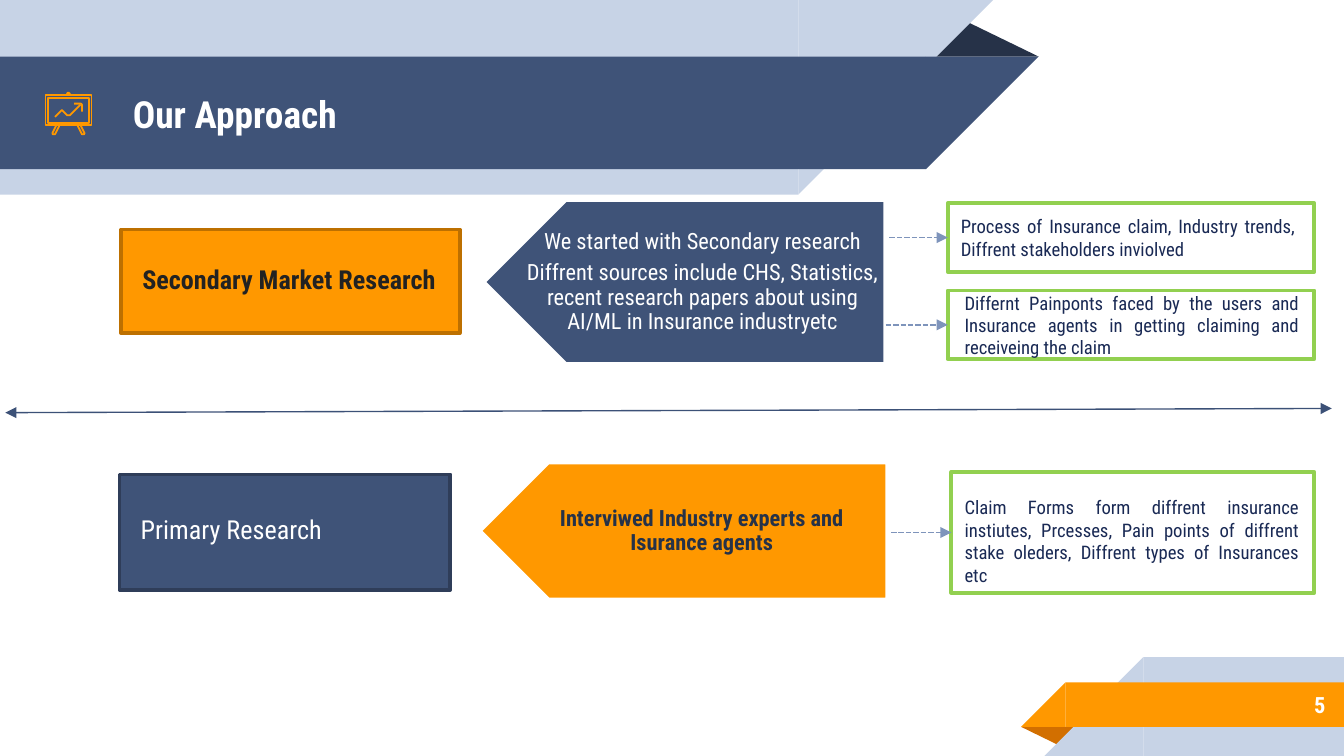
from pptx import Presentation
from pptx.dml.color import RGBColor
from pptx.enum.dml import MSO_LINE
from pptx.enum.shapes import MSO_CONNECTOR, MSO_SHAPE
from pptx.enum.text import MSO_ANCHOR, MSO_AUTO_SIZE, PP_ALIGN
from pptx.oxml.ns import qn
from pptx.util import Cm, Pt
from lxml.etree import SubElement

FONT = "Roboto Condensed"
WHITE = RGBColor(0xFF, 0xFF, 0xFF)
PALE = RGBColor(0xC7, 0xD3, 0xE6)
BLUE = RGBColor(0x3F, 0x53, 0x78)
BLUE_EDGE = RGBColor(0x2F, 0x3D, 0x59)
NAVY = RGBColor(0x26, 0x32, 0x48)
ORANGE = RGBColor(0xFF, 0x98, 0x00)
ORANGE_EDGE = RGBColor(0xBD, 0x70, 0x00)
ORANGE_FOLD = RGBColor(0xD2, 0x6F, 0x00)
GREEN = RGBColor(0x92, 0xD0, 0x50)
INK = RGBColor(0x19, 0x29, 0x54)
BLACK = RGBColor(0x22, 0x22, 0x22)
DASH = RGBColor(0x7E, 0x94, 0xBB)
AXIS = RGBColor(0x3C, 0x51, 0x77)

# Icon strokes in hundredths of a centimetre: points, closed
ICON = [
    ([(0, 5), (87, 5), (87, 62), (0, 62)], True),
    ([(5, 10), (83, 10), (83, 58), (5, 58)], True),
    ([(41, 5), (41, 2), (43, 0), (46, 2), (46, 5)], False),
    ([(20, 63), (13, 77), (14, 79), (18, 79), (26, 63)], False),
    ([(61, 63), (69, 79), (73, 79), (74, 77), (67, 63)], False),
    ([(66, 23), (46, 43), (41, 43), (31, 33), (18, 46)], False),
    ([(54, 21), (67, 21), (69, 23), (69, 36)], False),
]


def cm(*values):
    return [Cm(v) for v in values]


def paint(sp, fill=None, edge=None, width=2):
    sp.shadow.inherit = False
    if fill is None:
        sp.fill.background()
    else:
        sp.fill.solid()
        sp.fill.fore_color.rgb = fill
    if edge is None:
        sp.line.fill.background()
    else:
        sp.line.color.rgb = edge
        sp.line.width = Pt(width)


def add_shape(slide, kind, box, fill=None, edge=None, flip=None):
    sp = slide.shapes.add_shape(kind, *cm(*box))
    paint(sp, fill, edge)
    if flip:
        sp._element.spPr.find(qn("a:xfrm")).set(flip, "1")
    return sp


def write(sp, text, size, color, bold=False, align=PP_ALIGN.LEFT,
          anchor=MSO_ANCHOR.TOP, insets=(0.25, 0.13, 0.25, 0.13)):
    tf = sp.text_frame
    tf.word_wrap = True
    tf.auto_size = MSO_AUTO_SIZE.NONE
    tf.vertical_anchor = anchor
    (tf.margin_left, tf.margin_top,
     tf.margin_right, tf.margin_bottom) = cm(*insets)
    tf.text = text
    for p in tf.paragraphs:
        p.alignment = align
        for r in p.runs:
            r.font.name = FONT
            r.font.size = Pt(size)
            r.font.bold = bold
            r.font.color.rgb = color
    return tf


def add_line(slide, ends, color, width, heads):
    line = slide.shapes.add_connector(MSO_CONNECTOR.STRAIGHT, *cm(*ends))
    line.line.color.rgb = color
    line.line.width = Pt(width)
    for head in heads:
        SubElement(line.line._get_or_add_ln(), qn(head)).set("type", "triangle")
    SubElement(line._element.spPr, qn("a:effectLst"))
    return line


def slanted_band(slide, box, color, on_right):
    """A bar whose outer end is cut at 45 degrees."""
    x, y, w, h = box
    bar_x, tip_x = (x, x + w - h) if on_right else (x + h, x)
    add_shape(slide, MSO_SHAPE.RECTANGLE, (bar_x, y, w - h, h), color)
    add_shape(slide, MSO_SHAPE.RIGHT_TRIANGLE, (tip_x, y, h, h), color,
              flip="flipV" if on_right else "flipH")


def fold(slide, box, color, rotation=0):
    sp = add_shape(slide, MSO_SHAPE.ISOSCELES_TRIANGLE, box, color)
    sp.adjustments[0] = 0.324
    sp.rotation = rotation


def board_icon(slide, x, y):
    for points, closed in ICON:
        fb = slide.shapes.build_freeform(*points[0], scale=Cm(0.01))
        fb.add_line_segments(points[1:], close=closed)
        paint(fb.convert_to_shape(Cm(x), Cm(y)), edge=ORANGE, width=0.96)


def header(slide, box, text):
    x, y, w, h = box
    fold(slide, (x + w - 2.16, y + 0.36, 2.16, 0.71), NAVY)
    slanted_band(slide, (x, y, w - 0.86, h), PALE, True)
    slanted_band(slide, (x, y + 1.07, w, 2.13), BLUE, True)
    board_icon(slide, x + 0.86, y + 1.75)
    title = slide.shapes.title
    title.left, title.top, title.width, title.height = cm(
        x + 2.26, y + 1.09, 14.61, 2.13)
    write(title, text, 20, WHITE, True, anchor=MSO_ANCHOR.MIDDLE,
          insets=(0.25,) * 4)
    slide.shapes._spTree.append(title._element)  # above the band


def footer(slide, box, number):
    x, y, w, h = box
    fold(slide, (x, y + 1.32, 1.09, 0.36), ORANGE_FOLD, 180)
    slanted_band(slide, (x + 0.44, y, w - 0.44, h), PALE, False)
    slanted_band(slide, (x, y + 0.48, w, 0.84), ORANGE, False)
    tb = slide.shapes.add_textbox(*cm(x + 1.86, y + 0.46, 4.14, 0.89))
    write(tb, number, 12, WHITE, True, PP_ALIGN.RIGHT, MSO_ANCHOR.MIDDLE,
          (0.25,) * 4)


def label(slide, box, text_box, text, fill, edge, color, bold):
    add_shape(slide, MSO_SHAPE.RECTANGLE, box, fill, edge)
    sp = add_shape(slide, MSO_SHAPE.RECTANGLE, text_box, fill)
    write(sp, text, 14, color, bold)


def left_arrow(slide, box, text_h, text, fill, color, bold):
    x, y, w, h = box
    add_shape(slide, MSO_SHAPE.PENTAGON, box, fill, WHITE).rotation = 180
    tb = slide.shapes.add_textbox(
        *cm(x + 0.4, y + (h - text_h) / 2, w - 0.32, text_h))
    tf = write(tb, text, 12, color, bold, PP_ALIGN.CENTER, MSO_ANCHOR.MIDDLE,
               (0.36, 0.08, 0.15, 0.08))
    for p in tf.paragraphs:
        p.line_spacing = 0.9
        p.space_after = Pt(4)


def finding(slide, box, text_box, text, arrow_x):
    x, y, w, h = box
    sp = add_shape(slide, MSO_SHAPE.RECTANGLE, box, edge=GREEN)
    tb = slide.shapes.add_textbox(*cm(*text_box))
    write(tb, text, 10, INK, align=PP_ALIGN.JUSTIFY)
    mid = y + h / 2
    arrow = add_line(slide, (arrow_x, mid, x, mid), DASH, 1, [])
    arrow.line.dash_style = MSO_LINE.SQUARE_DOT
    SubElement(arrow.line._get_or_add_ln(), qn("a:tailEnd")).set("type", "triangle")
    arrow.end_connect(sp, 1)


def main():
    prs = Presentation()
    prs.slide_width, prs.slide_height = cm(25.4, 14.29)
    slide = prs.slides.add_slide(prs.slide_layouts[5])
    header(slide, (0, 0, 19.63, 3.68), "Our Approach")
    footer(slide, (19.3, 12.42, 6.1, 1.87), "5")

    # Secondary research
    label(slide, (2.29, 4.34, 6.4, 1.96), (2.44, 4.85, 6.07, 1.12),
          "Secondary Market Research", ORANGE, ORANGE_EDGE, BLACK, True)
    left_arrow(slide, (9.14, 3.78, 7.59, 3.1), 1.63,
               "We started with Secondary research\n"
               "Diffrent sources include CHS, Statistics, recent research "
               "papers about using AI/ML in Insurance industryetc",
               BLUE, WHITE, False)
    finding(slide, (17.91, 3.84, 6.93, 1.3), (17.91, 3.94, 6.81, 1.12),
            "Process of Insurance claim, Industry trends, "
            "Diffrent stakeholders inviolved", 16.81)
    finding(slide, (17.91, 5.49, 6.93, 1.3), (17.98, 5.38, 6.81, 1.55),
            "Differnt Painponts faced by the users and Insurance agents "
            "in getting claiming and receiveing the claim", 16.74)

    # Divider
    add_line(slide, (0.1, 7.8, 25.17, 7.72), AXIS, 0.75,
             ["a:headEnd", "a:tailEnd"])

    # Primary research
    label(slide, (2.26, 8.97, 6.25, 2.18), (2.41, 9.58, 5.84, 0.86),
          "Primary Research", BLUE, BLUE_EDGE, WHITE, False)
    left_arrow(slide, (9.07, 8.74, 7.7, 2.59), 2.59,
               "Interviwed Industry experts and Isurance agents",
               ORANGE, NAVY, True)
    finding(slide, (17.98, 8.92, 6.86, 2.29), (17.98, 9.25, 6.81, 1.96),
            "Claim Forms form diffrent insurance instiutes, Prcesses, "
            "Pain points of diffrent stake oleders, "
            "Diffrent types of Insurances etc", 16.84)
    prs.save("out.pptx")


if __name__ == "__main__":
    main()
